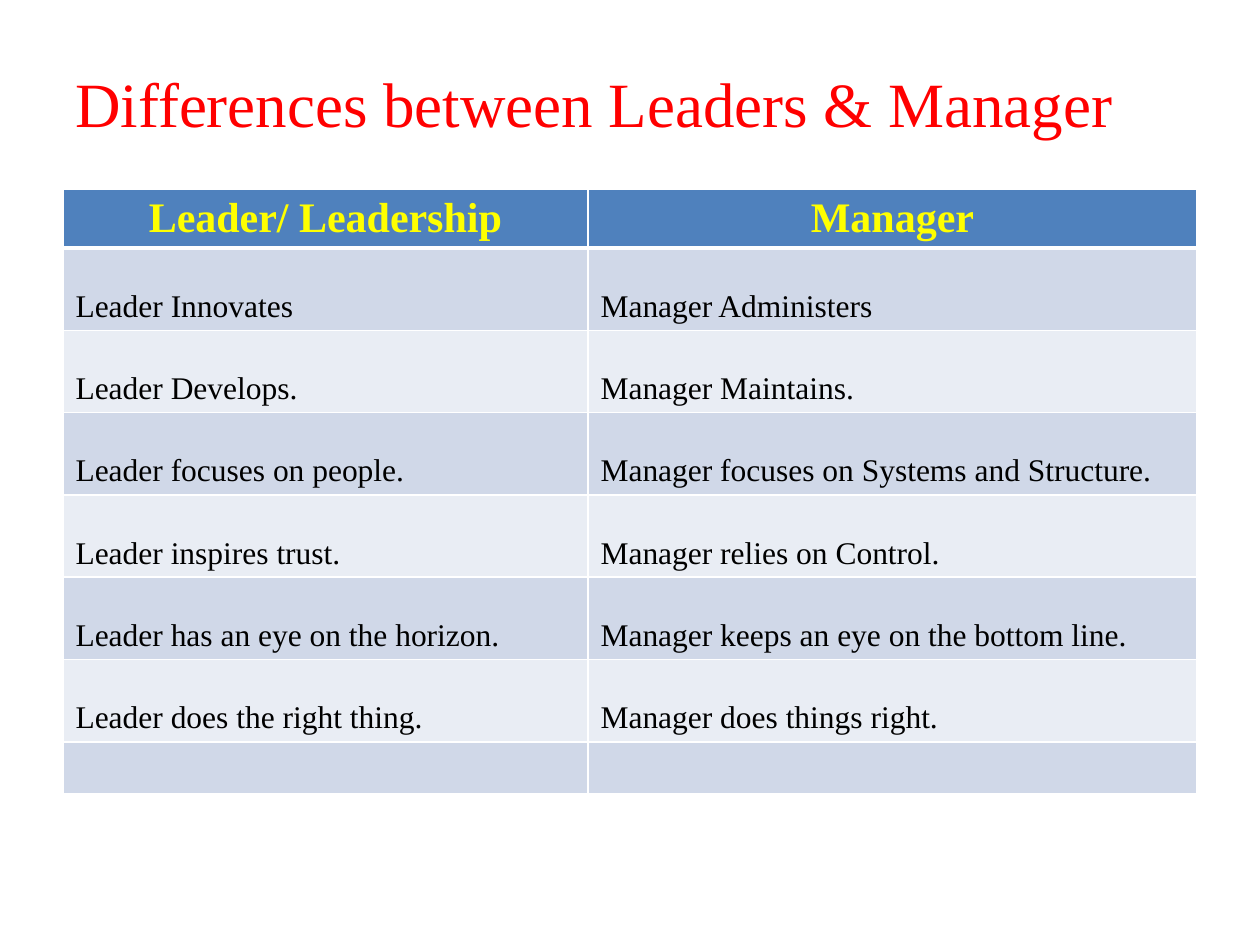
import pptx
import pptx.dml.color
import pptx.enum.text
import pptx.oxml
import pptx.oxml.ns
import pptx.util

PX = 914400 / 126
FONT = "Times New Roman"
COLORS = {
    "title": "FF0000", "header_text": "FFFF00", "text": "000000",
    "header": "4F81BD", "odd": "D0D8E8", "even": "E9EDF4", "border": "FFFFFF",
}
HEADERS = ("Leader/ Leadership", "Manager")
ROWS = [
    ("Leader Innovates", "Manager Administers"),
    ("Leader Develops.", "Manager Maintains."),
    ("Leader focuses on people.", "Manager focuses on Systems and Structure."),
    ("Leader inspires trust.", "Manager relies on Control."),
    ("Leader has an eye on the horizon.", "Manager keeps an eye on the bottom line."),
    ("Leader does the right thing.", "Manager does things right."),
    ("", ""),
]


def px(n):
    """Turn pixels into EMU."""
    return pptx.util.Emu(round(n * PX))


def rgb(name):
    """Look up a named colour."""
    return pptx.dml.color.RGBColor.from_string(COLORS[name])


def write(tf, text, size=18, color="text", bold=False, align="LEFT", spacing=1.0):
    """Write one formatted paragraph into a text frame."""
    p = tf.paragraphs[0]
    p.alignment = getattr(pptx.enum.text.PP_ALIGN, align)
    p.line_spacing = spacing
    r = p.add_run()
    r.text = text
    r.font.name = FONT
    r.font.size = pptx.util.Pt(size)
    r.font.bold = bold
    r.font.color.rgb = rgb(color)


def style_cell(cell, fill, bottom=1):
    """Fill a cell, drop its bottom margin and draw its four borders."""
    tc_pr = cell._tc.get_or_add_tcPr()
    for side, width in (("L", 1), ("R", 1), ("T", 1), ("B", bottom)):
        tc_pr.append(pptx.oxml.parse_xml(
            f'<a:ln{side} {pptx.oxml.ns.nsdecls("a")} w="{pptx.util.Pt(width)}">'
            f'<a:solidFill><a:srgbClr val="{COLORS["border"]}"/></a:solidFill>'
            f'</a:ln{side}>'))
    cell.margin_bottom = 0
    cell.fill.solid()
    cell.fill.fore_color.rgb = rgb(fill)


def add_title(s, x, y, w, h):
    """Place the slide title."""
    tf = s.shapes.add_textbox(px(x), px(y), px(w), px(h)).text_frame
    tf.word_wrap = True
    tf.vertical_anchor = pptx.enum.text.MSO_ANCHOR.MIDDLE
    write(tf, "Differences between Leaders & Manager", size=36, color="title")


def add_comparison(s, x, y, w, h):
    """Place the table that compares leaders with managers."""
    table = s.shapes.add_table(len(ROWS) + 1, 2, px(x), px(y), px(w), px(h)).table
    left, head, last = 525, 59, 52
    body = (h - head - last) / (len(ROWS) - 1)
    for col, width in zip(table.columns, (left, w - left)):
        col.width = px(width)
    for row, height in zip(table.rows, [head] + [body] * (len(ROWS) - 1) + [last]):
        row.height = px(height)
    for j, text in enumerate(HEADERS):
        cell = table.cell(0, j)
        style_cell(cell, "header", bottom=3)
        write(cell.text_frame, text, size=24, color="header_text", bold=True, align="CENTER")
    for i, texts in enumerate(ROWS, 1):
        for j, text in enumerate(texts):
            cell = table.cell(i, j)
            style_cell(cell, "odd" if i % 2 else "even")
            if text:
                write(cell.text_frame, text, spacing=2.0)


def main():
    """Build and save the slide."""
    prs = pptx.Presentation()
    prs.slide_width, prs.slide_height = px(1260), px(945)
    s = prs.slides.add_slide(prs.slide_layouts[6])
    add_title(s, 63, 42, 1134, 120)
    add_comparison(s, 63, 189, 1134, 605)
    prs.save("out.pptx")


if __name__ == "__main__":
    main()
